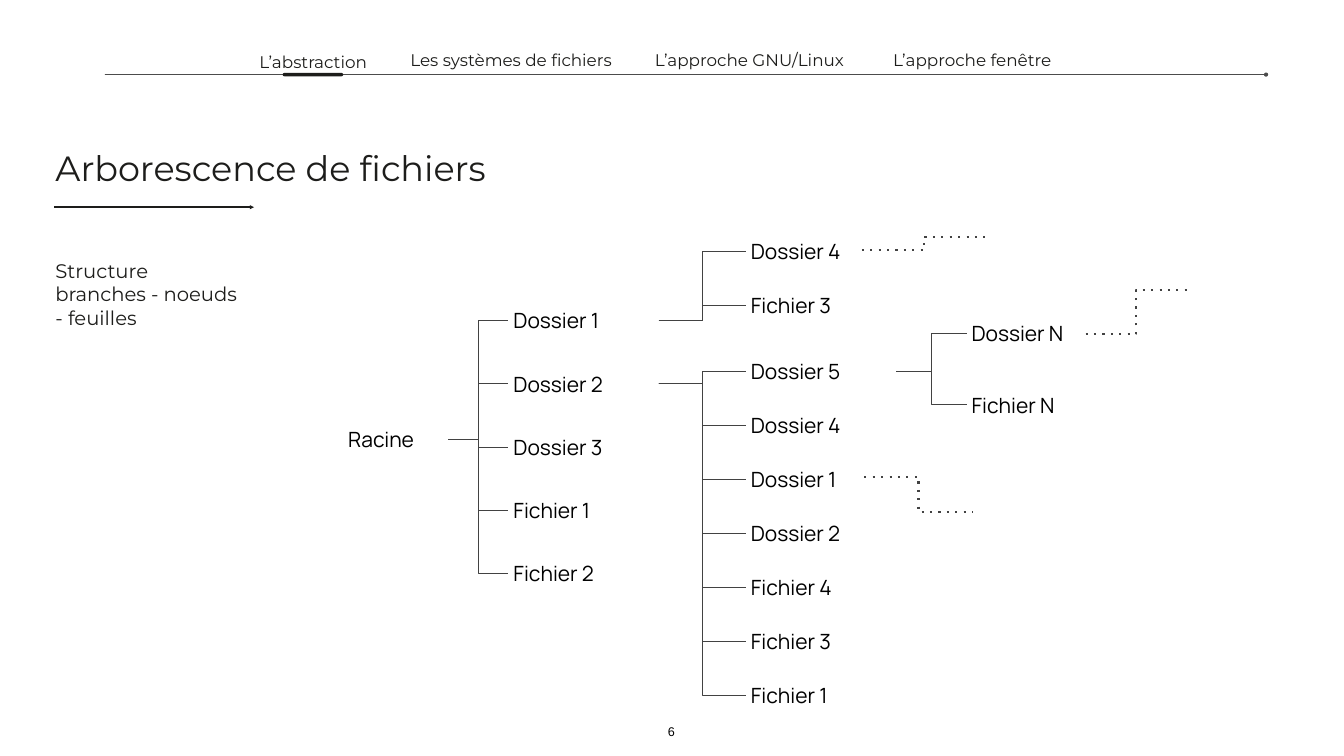
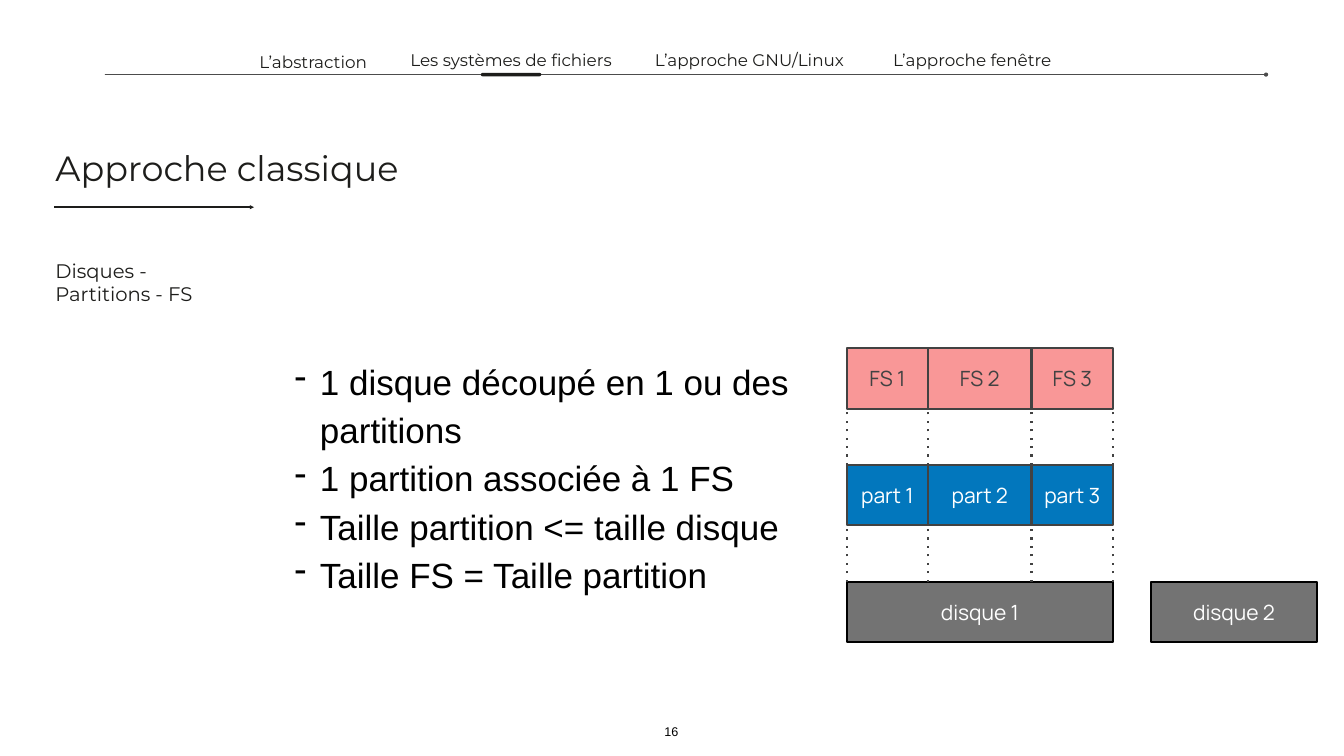
from dataclasses import dataclass
from typing import NamedTuple, Optional

from lxml.etree import SubElement
from pptx import Presentation
from pptx.dml.color import RGBColor
from pptx.enum.shapes import MSO_CONNECTOR, MSO_SHAPE
from pptx.enum.text import MSO_ANCHOR, MSO_AUTO_SIZE, PP_ALIGN
from pptx.oxml.ns import qn
from pptx.shapes.autoshape import Shape
from pptx.shapes.connector import Connector
from pptx.slide import Slide
from pptx.util import Emu, Inches, Pt

# Grid: 160 columns by 90 rows
SLIDE_WIDTH, SLIDE_HEIGHT = Inches(26.67), Inches(15)
COLUMNS, ROWS = 160, 90

# Colours and fonts
INK = RGBColor(0x1D, 0x1D, 0x1B)
BLACK = RGBColor(0, 0, 0)
WHITE = RGBColor(0xFF, 0xFF, 0xFF)
CHARCOAL = RGBColor(0x42, 0x42, 0x42)
GREY = RGBColor(0x73, 0x73, 0x73)
BLUE = RGBColor(0x02, 0x77, 0xBD)
PINK = RGBColor(0xF9, 0x97, 0x97)
HEADING_FONT, LABEL_FONT, BODY_FONT = "Montserrat", "Manrope", "Arial"


class Frame(NamedTuple):
    left: float
    top: float
    width: float
    height: float


@dataclass(frozen=True)
class TextStyle:
    font: str
    size: float
    color: RGBColor
    align: PP_ALIGN = PP_ALIGN.LEFT
    anchor: MSO_ANCHOR = MSO_ANCHOR.MIDDLE
    margin: float = 0.06
    grows: bool = True


@dataclass(frozen=True)
class LineStyle:
    color: RGBColor
    width: float
    dotted: bool = False
    tail: str = ""
    opacity: int = 100


@dataclass(frozen=True)
class Section:
    name: str
    frame: Frame


@dataclass(frozen=True)
class Branch:
    left: float
    first_row: float
    pitch: float
    names: tuple[str, ...]


@dataclass(frozen=True)
class Layer:
    names: tuple[str, ...]
    fill: RGBColor
    text: RGBColor


TITLE = TextStyle(HEADING_FONT, 50, INK)
SUBTITLE = TextStyle(HEADING_FONT, 28, INK)
SECTION = TextStyle(HEADING_FONT, 24, INK, PP_ALIGN.CENTER)
PAGE_NUMBER = TextStyle(BODY_FONT, 18, BLACK, PP_ALIGN.CENTER, MSO_ANCHOR.BOTTOM)
NODE = TextStyle(LABEL_FONT, 30, BLACK, anchor=MSO_ANCHOR.TOP, margin=0.1)
BULLET = TextStyle(BODY_FONT, 50, BLACK, margin=0.1, grows=False)

TITLE_RULE = LineStyle(INK, 2, tail="triangle")
SECTION_RULE = LineStyle(BLACK, 1, tail="oval", opacity=70)
BRANCH_LINE = LineStyle(CHARCOAL, 1.5)
DOTTED_LINE = LineStyle(CHARCOAL, 3, dotted=True)

SECTIONS = (
    Section("L’abstraction", Frame(30.06, 5.76, 14.46, 3.12)),
    Section("Les systèmes de fichiers", Frame(47.88, 5.58, 25.92, 3.12)),
    Section("L’approche GNU/Linux", Frame(77.16, 5.58, 24.12, 3.12)),
    Section("L’approche fenêtre", Frame(104.64, 5.58, 22.2, 3.12)),
)
NODE_WIDTH, NODE_HEIGHT = 17.88, 4.26


def across(columns: float) -> Emu:
    return Emu(round(SLIDE_WIDTH * columns / COLUMNS))


def down(rows: float) -> Emu:
    return Emu(round(SLIDE_HEIGHT * rows / ROWS))


def place(frame: Frame) -> tuple[Emu, Emu, Emu, Emu]:
    return across(frame.left), down(frame.top), across(frame.width), down(frame.height)


def write(box: Shape, lines: tuple[str, ...], style: TextStyle) -> None:
    """Fill a box with one paragraph per line, all in one style."""
    text_frame = box.text_frame
    text_frame.word_wrap = True
    text_frame.auto_size = (
        MSO_AUTO_SIZE.SHAPE_TO_FIT_TEXT if style.grows else MSO_AUTO_SIZE.NONE
    )
    text_frame.vertical_anchor = style.anchor
    text_frame.margin_left = text_frame.margin_right = Inches(style.margin)
    text_frame.margin_top = text_frame.margin_bottom = Inches(style.margin)
    text_frame.text = "\n".join(lines)
    for paragraph in text_frame.paragraphs:
        paragraph.alignment = style.align
        paragraph.font.name = style.font
        paragraph.font.size = Pt(style.size)
        paragraph.font.color.rgb = style.color


def add_text(slide: Slide, frame: Frame, text: str, style: TextStyle) -> Shape:
    box = slide.shapes.add_textbox(*place(frame))
    write(box, (text,), style)
    return box


def add_line(
    slide: Slide,
    start: tuple[float, float],
    end: tuple[float, float],
    style: LineStyle,
    kind: MSO_CONNECTOR = MSO_CONNECTOR.STRAIGHT,
) -> Connector:
    connector = slide.shapes.add_connector(
        kind, across(start[0]), down(start[1]), across(end[0]), down(end[1])
    )
    connector.line.color.rgb = style.color
    connector.line.width = Pt(style.width)
    properties = connector._element.spPr
    outline = properties.find(qn("a:ln"))
    if style.opacity < 100:
        color = outline.find(qn("a:solidFill"))[0]
        SubElement(color, qn("a:alpha"), val=str(style.opacity * 1000))
    if style.dotted:
        SubElement(outline, qn("a:prstDash"), val="dot")
    if style.tail:
        SubElement(outline, qn("a:tailEnd"), type=style.tail)
    SubElement(properties, qn("a:effectLst"))
    return connector


def add_block(
    slide: Slide,
    shape_kind: MSO_SHAPE,
    frame: Frame,
    fill: RGBColor,
    line: Optional[RGBColor] = None,
) -> Shape:
    block = slide.shapes.add_shape(shape_kind, *place(frame))
    block.shadow.inherit = False
    block.fill.solid()
    block.fill.fore_color.rgb = fill
    if line is None:
        block.line.fill.background()
    else:
        block.line.color.rgb = line
        block.line.width = Pt(3)
    return block


def add_page(
    deck: Presentation, title: str, subtitle: str, subtitle_rows: float,
    number: int, marker_left: float,
) -> Slide:
    """Add a slide with the title, section band and page number."""
    slide = deck.slides.add_slide(deck.slide_layouts[5])
    heading = slide.shapes.title
    heading.left, heading.top, heading.width, heading.height = place(
        Frame(6.24, 17.1, 87.72, 5.7)
    )
    write(heading, (title,), TITLE)
    add_line(slide, (6.48, 24.66), (30.24, 24.66), TITLE_RULE)
    add_text(slide, Frame(6.24, 30.42, 22.98, subtitle_rows), subtitle, SUBTITLE)

    # Section band with the marker under the current section
    add_line(slide, (12.48, 8.88), (150.72, 8.88), SECTION_RULE)
    marker = add_block(
        slide, MSO_SHAPE.ROUNDED_RECTANGLE, Frame(marker_left, 8.68, 7.2, 0.4), INK
    )
    marker.adjustments[0] = 0.5
    for section in SECTIONS:
        add_text(slide, section.frame, section.name, SECTION)

    add_text(slide, Frame(78.72, 85.86, 2.4, 2.52), str(number), PAGE_NUMBER)
    return slide


def add_node(
    slide: Slide, name: str, left: float, middle: float, width: float = NODE_WIDTH
) -> Shape:
    frame = Frame(left, middle - NODE_HEIGHT / 2, width, NODE_HEIGHT)
    return add_text(slide, frame, name, NODE)


def add_branch(slide: Slide, parent: Shape, branch: Branch) -> list[Shape]:
    """Add evenly spaced children and join each one to the parent."""
    children = []
    for index, name in enumerate(branch.names):
        middle = branch.first_row + index * branch.pitch
        child = add_node(slide, name, branch.left, middle)
        joint = add_line(
            slide, (0, 0), (branch.left, middle), BRANCH_LINE, MSO_CONNECTOR.ELBOW
        )
        joint.begin_connect(parent, 3)
        joint.end_connect(child, 1)
        children.append(child)
    return children


def build_tree_page(deck: Presentation) -> None:
    slide = add_page(
        deck, "Arborescence de fichiers", "Structure branches - noeuds - feuilles",
        9.18, 6, 33.66,
    )
    root = add_node(slide, "Racine", 40.86, 52.35, 12.48)
    top_level = add_branch(slide, root, Branch(
        60.54, 38.19, 7.52,
        ("Dossier 1", "Dossier 2", "Dossier 3", "Fichier 1", "Fichier 2"),
    ))
    add_branch(slide, top_level[0], Branch(
        88.8, 29.97, 6.43, ("Dossier 4", "Fichier 3"),
    ))
    second_level = add_branch(slide, top_level[1], Branch(
        88.8, 44.25, 6.43,
        ("Dossier 5", "Dossier 4", "Dossier 1", "Dossier 2",
         "Fichier 4", "Fichier 3", "Fichier 1"),
    ))
    add_branch(slide, second_level[0], Branch(
        115.08, 39.69, 8.52, ("Dossier N", "Fichier N"),
    ))

    # Branches that carry on
    for start, end in (
        ((129.24, 39.72), (141.3, 34.5)),
        ((102.6, 29.76), (117.36, 28.2)),
        ((102.9, 56.76), (115.8, 60.96)),
    ):
        add_line(slide, start, end, DOTTED_LINE, MSO_CONNECTOR.ELBOW)


def add_bullets(slide: Slide, frame: Frame, lines: tuple[str, ...]) -> None:
    box = slide.shapes.add_textbox(*place(frame))
    box.text_frame.text = "\n".join(lines)
    write(box, lines, BULLET)
    for paragraph in box.text_frame.paragraphs:
        paragraph.line_spacing = 1.15
        properties = paragraph._p.get_or_add_pPr()
        properties.set("marL", str(Inches(0.5)))
        properties.set("indent", str(Inches(-0.6)))
        bullet = properties.makeelement(qn("a:buChar"), {"char": "-"})
        properties.find(qn("a:defRPr")).addprevious(bullet)


def build_disk_page(deck: Presentation) -> None:
    slide = add_page(
        deck, "Approche classique", "Disques - Partitions - FS", 6.3, 16, 57.24
    )
    add_bullets(slide, Frame(34.5, 27.24, 65.52, 58.56), (
        "1 disque découpé en 1 ou des partitions",
        "1 partition associée à 1 FS",
        "Taille partition <= taille disque",
        "Taille FS = Taille partition",
    ))

    # File systems over partitions over disks
    edges = (100.8, 110.48, 122.8, 132.5)
    first_row, pitch, height = 41.46, 13.89, 7.2
    layers = (
        Layer(("FS 1", "FS 2", "FS 3"), PINK, CHARCOAL),
        Layer(("part 1", "part 2", "part 3"), BLUE, WHITE),
    )
    blocks = [
        (name, Frame(left, first_row + row * pitch, right - left, height),
         layer.fill, CHARCOAL, layer.text)
        for row, layer in enumerate(layers)
        for name, left, right in zip(layer.names, edges, edges[1:])
    ]
    disk_row = first_row + 2 * pitch
    for name, left, width in (
        ("disque 1", edges[0], edges[-1] - edges[0]), ("disque 2", 136.98, 19.86)
    ):
        blocks.append((name, Frame(left, disk_row, width, height), GREY, BLACK, WHITE))
    for name, frame, fill, line, color in blocks:
        block = add_block(slide, MSO_SHAPE.RECTANGLE, frame, fill, line)
        write(block, (name,), TextStyle(
            LABEL_FONT, 30, color, PP_ALIGN.CENTER, margin=0.1, grows=False
        ))
    for row in range(len(layers)):
        upper = first_row + row * pitch + height
        lower = first_row + (row + 1) * pitch
        for edge in edges:
            add_line(slide, (edge, lower), (edge, upper), DOTTED_LINE)


def main() -> None:
    deck = Presentation()
    deck.slide_width, deck.slide_height = SLIDE_WIDTH, SLIDE_HEIGHT
    build_tree_page(deck)
    build_disk_page(deck)
    deck.save("out.pptx")


if __name__ == "__main__":
    main()
